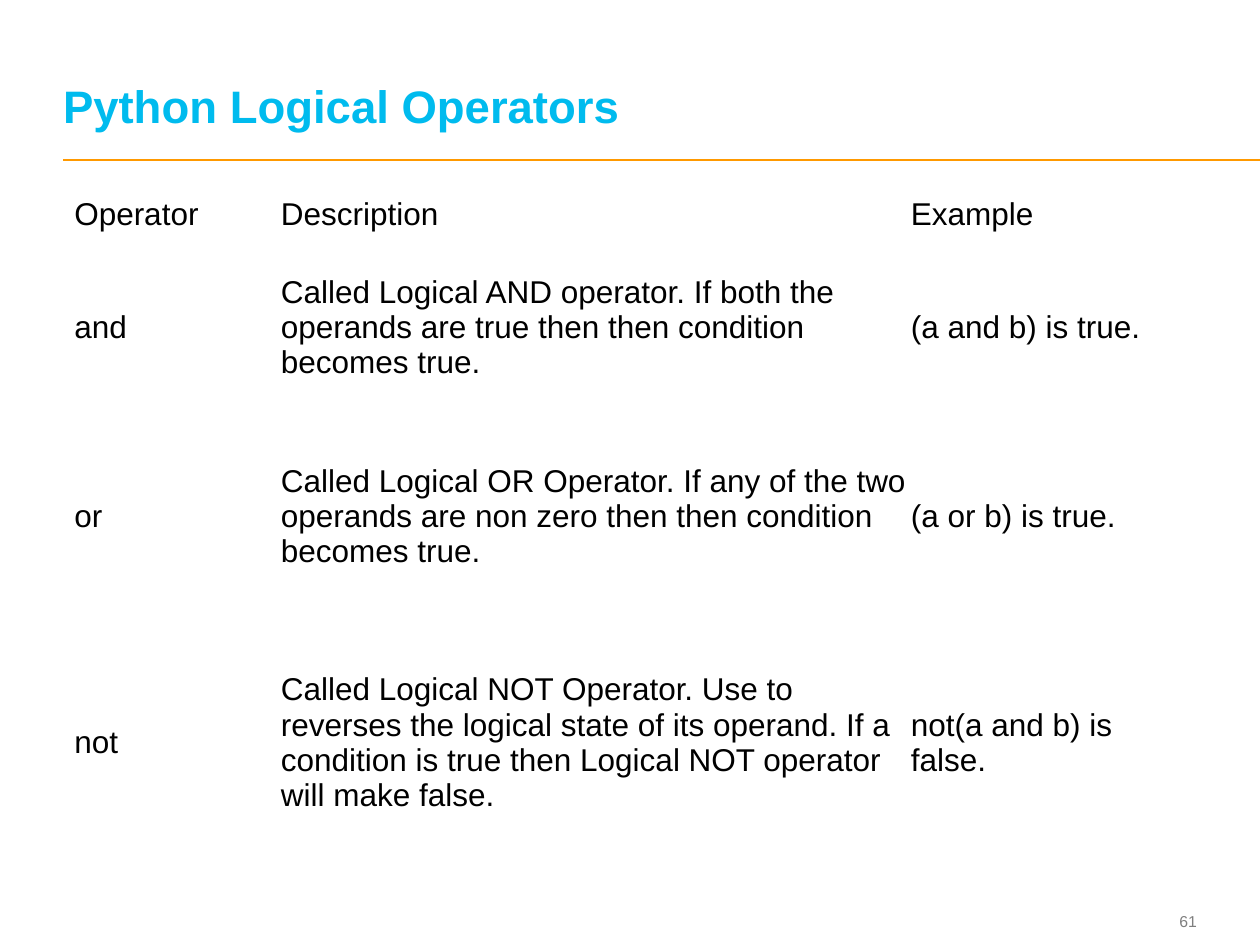
from lxml import etree
from pptx import Presentation
from pptx.dml.color import RGBColor
from pptx.enum.shapes import MSO_CONNECTOR
from pptx.enum.text import MSO_ANCHOR, MSO_AUTO_SIZE, PP_ALIGN
from pptx.oxml.ns import qn
from pptx.util import Inches, Pt

STRAIGHT = MSO_CONNECTOR.STRAIGHT
MIDDLE, BOTTOM = MSO_ANCHOR.MIDDLE, MSO_ANCHOR.BOTTOM
LEFT, RIGHT = PP_ALIGN.LEFT, PP_ALIGN.RIGHT
NO_AUTOFIT = MSO_AUTO_SIZE.NONE

FONT = "Arial"
COLORS = {"title": "00BBEE", "rule": "FF9900", "number": "7F7F7F", "text": "000000"}
COLUMN_WIDTHS = [1.64, 5, 2.2]
ROW_HEIGHTS = [0.35, 1.44, 1.56, 2.03]
ROWS = [
    ("Operator", "Description", "Example"),
    ("and",
     "Called Logical AND operator. If both the operands are true then then "
     "condition becomes true.",
     "(a and b) is true."),
    ("or",
     "Called Logical OR Operator. If any of the two operands are non zero then "
     "then condition becomes true.",
     "(a or b) is true."),
    ("not",
     "Called Logical NOT Operator. Use to reverses the logical state of its "
     "operand. If a condition is true then Logical NOT operator will make false.",
     "not(a and b) is false."),
]


def format_paragraph(paragraph, size, color, bold=False, align=LEFT):
    paragraph.alignment = align
    font = paragraph.font
    font.name = FONT
    font.size = Pt(size)
    font.bold = bold
    font.color.rgb = RGBColor.from_string(COLORS[color])


def set_margins(target, horizontal=0):
    target.margin_left = target.margin_right = Inches(horizontal)
    target.margin_top = target.margin_bottom = 0


def fill_frame(shape, text, anchor):
    frame = shape.text_frame
    frame.text = text
    frame.word_wrap = True
    frame.auto_size = NO_AUTOFIT
    frame.vertical_anchor = anchor
    set_margins(frame)
    return frame.paragraphs[0]


def add_rule(slide):
    rule = slide.shapes.add_connector(
        STRAIGHT, Inches(0.5), Inches(1.27), Inches(10), Inches(1.27))
    rule.line.color.rgb = RGBColor.from_string(COLORS["rule"])
    rule.line.width = Pt(1)
    etree.SubElement(rule._element.spPr, qn("a:effectLst"))


def add_slide_number(slide, number):
    box = slide.shapes.add_textbox(
        Inches(8.91), Inches(7.18), Inches(0.59), Inches(0.27))
    paragraph = fill_frame(box, number, MIDDLE)
    format_paragraph(paragraph, 9, "number", align=RIGHT)


def set_title(slide, text):
    title = slide.shapes.title
    title.left, title.top = Inches(0.5), Inches(0.19)
    title.width, title.height = Inches(8.97), Inches(0.86)
    paragraph = fill_frame(title, text, BOTTOM)
    paragraph.line_spacing = Pt(26)
    format_paragraph(paragraph, 26, "title", bold=True)


def add_operator_table(slide):
    table = slide.shapes.add_table(
        len(ROWS), len(COLUMN_WIDTHS), Inches(0.58), Inches(1.53),
        Inches(sum(COLUMN_WIDTHS)), Inches(sum(ROW_HEIGHTS))).table
    table.first_row = table.horz_banding = False
    for column, width in zip(table.columns, COLUMN_WIDTHS):
        column.width = Inches(width)
    for row, height, texts in zip(table.rows, ROW_HEIGHTS, ROWS):
        row.height = Inches(height)
        for cell, text in zip(row.cells, texts):
            cell.text = text
            cell.fill.background()
            cell.vertical_anchor = MIDDLE
            set_margins(cell, 0.01)
            format_paragraph(cell.text_frame.paragraphs[0], 18, "text")


def main():
    presentation = Presentation()
    presentation.slide_width = Inches(10)
    presentation.slide_height = Inches(7.5)
    slide = presentation.slides.add_slide(presentation.slide_layouts[5])
    add_rule(slide)
    add_slide_number(slide, "61")
    set_title(slide, "Python Logical Operators")
    add_operator_table(slide)
    presentation.save("out.pptx")


if __name__ == "__main__":
    main()
